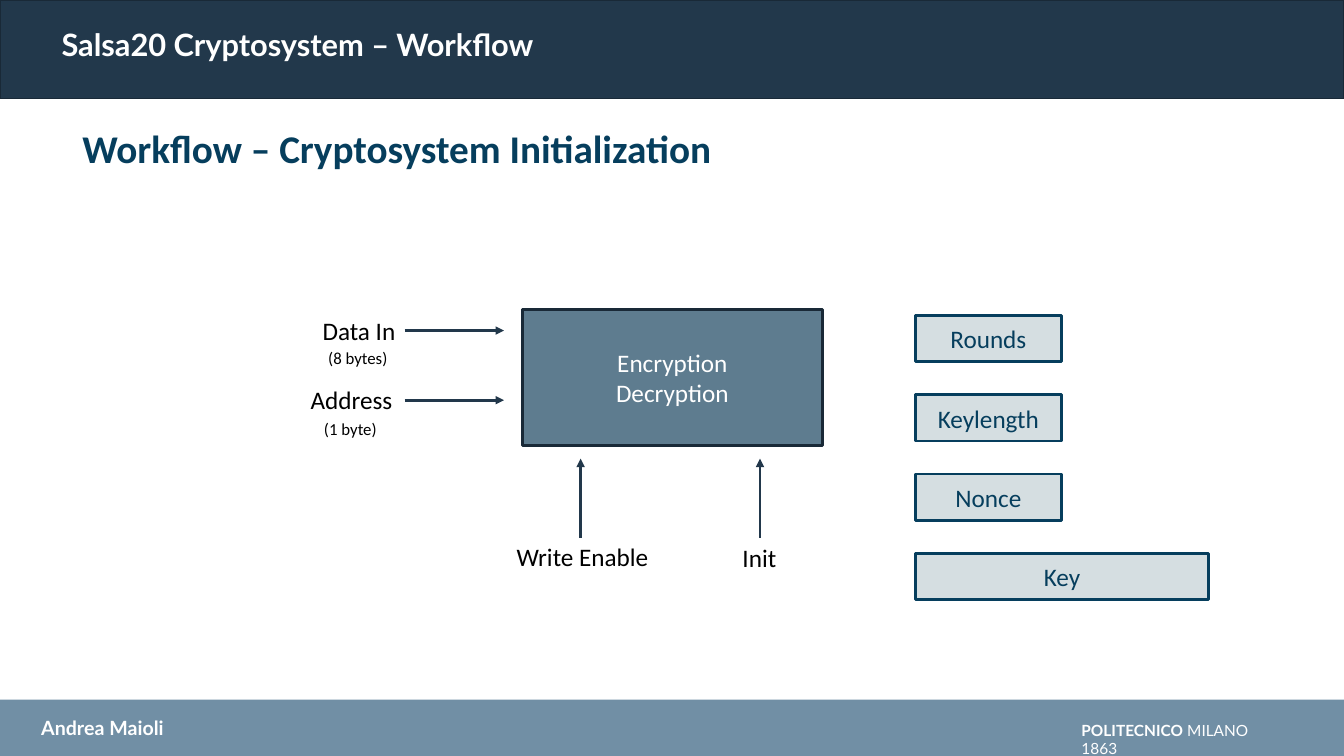
from pptx import Presentation
from pptx.dml.color import RGBColor
from pptx.enum.shapes import MSO_CONNECTOR as LINK, MSO_SHAPE as SHAPE
from pptx.enum.text import MSO_ANCHOR as ANCHOR, MSO_AUTO_SIZE as FIT, PP_ALIGN as ALIGN
from pptx.oxml.ns import qn
from pptx.util import Inches, Pt
from lxml.etree import SubElement

WIDE, HIGH = Inches(13.333), Inches(7.5)
WHITE, BLACK = "FFFFFF", "000000"
NAVY, EDGE, BLUE = "22384B", "192937", "063E5D"
STEEL, SLATE, PALE = "718FA5", "5E7C8F", "D5DEE1"


def hue(code):
    return RGBColor.from_string(code)


def area(left, top, width, height):
    return (round(WIDE * left / 100), round(HIGH * top / 100),
            round(WIDE * width / 100), round(HIGH * height / 100))


def style(frame, size, color, face="Calibri", bold=False, align=ALIGN.LEFT):
    for par in frame.paragraphs:
        par.alignment = align
        font = par.font
        font.name, font.size, font.bold = face, Pt(size), bold
        font.color.rgb = hue(color)


def block(slide, box, fill, edge=None, width=2, text="", color=WHITE):
    rect = slide.shapes.add_shape(SHAPE.RECTANGLE, *area(*box))
    rect.shadow.inherit = False
    rect.fill.solid()
    rect.fill.fore_color.rgb = hue(fill)
    if edge:
        rect.line.color.rgb = hue(edge)
        rect.line.width = Pt(width)
    else:
        rect.line.fill.background()
    if text:
        rect.text_frame.text = text
        rect.text_frame.vertical_anchor = ANCHOR.MIDDLE
        style(rect.text_frame, 18, color, align=ALIGN.CENTER)


def label(slide, box, text, size=18, color=BLACK, wrap=False, **look):
    frame = slide.shapes.add_textbox(*area(*box)).text_frame
    frame.word_wrap = wrap
    frame.auto_size = FIT.SHAPE_TO_FIT_TEXT
    frame.text = text
    style(frame, size, color, **look)
    return frame


def arrow(slide, start, end):
    ends = area(*start, *end)
    line = slide.shapes.add_connector(LINK.STRAIGHT, *ends)
    line.line.color.rgb = hue(NAVY)
    line.line.width = Pt(2)
    SubElement(line.line._get_or_add_ln(), qn("a:tailEnd"), type="triangle")
    SubElement(line._element.spPr, qn("a:effectLst"))


def banner(slide):
    block(slide, (0, 92.53, 100, 7.47), STEEL)
    block(slide, (0, 0, 100, 13.07), NAVY, EDGE, 1)
    school = label(slide, (79.73, 94.67, 16.43, 3.87), "", 11, WHITE, True, face="Lato")
    name = school.paragraphs[0].add_run()
    name.text, name.font.bold = "POLITECNICO", True
    school.paragraphs[0].add_run().text = " MILANO 1863"
    label(slide, (2.33, 94, 22.95, 4.53), "Andrea Maioli", 14, WHITE, True,
          face="Lato", bold=True)


def head(slide, text):
    title = slide.shapes.title
    title.left, title.top, title.width, title.height = area(3.83, 3.33, 46.13, 4.8)
    frame = title.text_frame
    frame.text = text
    frame.auto_size = FIT.NONE
    frame.vertical_anchor = ANCHOR.TOP
    style(frame, 22, WHITE, "Lato", True)
    frame.paragraphs[0].line_spacing = 0.9
    slide.shapes._spTree.append(title._element)


def main():
    deck = Presentation()
    deck.slide_width, deck.slide_height = WIDE, HIGH
    slide = deck.slides.add_slide(deck.slide_layouts[5])
    banner(slide)
    head(slide, "Salsa20 Cryptosystem – Workflow")
    label(slide, (5.4, 15.73, 93.9, 7.6), "Workflow – Cryptosystem Initialization",
          28, BLUE, True, bold=True)
    block(slide, (38.85, 40.93, 22.35, 18), SLATE, EDGE, text="Encryption\nDecryption")

    for row in (43.73, 52.93):
        arrow(slide, (30.1, row), (37.5, row))
    for col in (43.2, 56.55):
        arrow(slide, (col, 71.13), (col, 60.67))

    ports = (("Data In", 23.18, 41.07, 6.98), ("Address", 22.28, 50.13, 7.65),
             ("Write Enable", 37.58, 70.93, 11.4), ("Init", 54.45, 71.07, 4.05))
    for text, left, top, width in ports:
        label(slide, (left, top, width, 5.33), text, align=ALIGN.RIGHT)
    sizes = (("(8 bytes)", 23.63, 45.33, 6), ("(1 byte)", 23.33, 54.67, 5.48))
    for text, left, top, width in sizes:
        label(slide, (left, top, width, 4), text, 12, align=ALIGN.CENTER)

    for row, text in enumerate(("Rounds", "Keylength", "Nonce", "Key")):
        width = 21.83 if text == "Key" else 10.88
        block(slide, (68.1, 41.73 + 10.49 * row, width, 6.13), PALE, BLUE,
              text=text, color=BLUE)
    deck.save("out.pptx")


if __name__ == "__main__":
    main()
